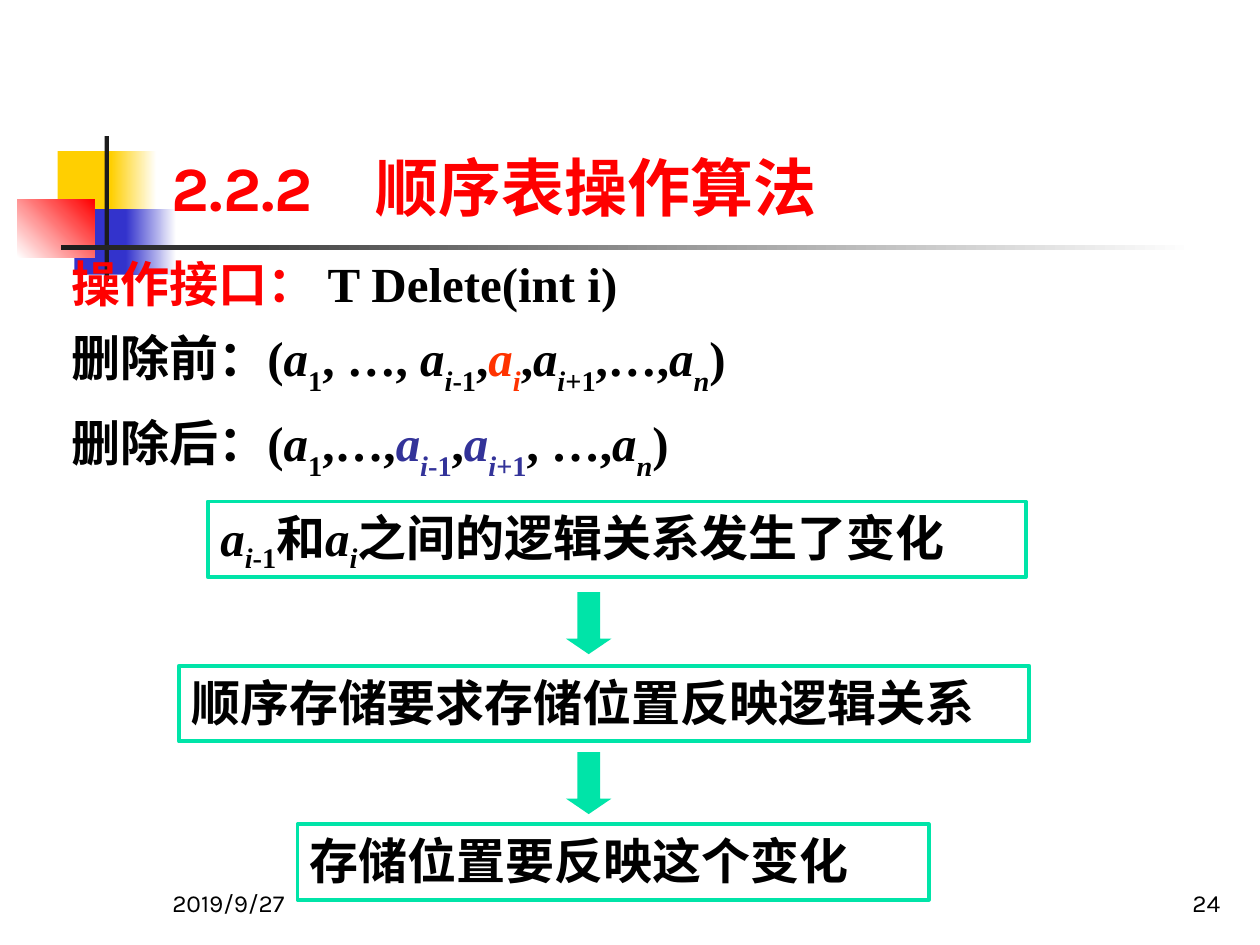
from pptx import Presentation
from pptx.dml.color import RGBColor
from pptx.enum import shapes, text
from pptx.oxml.xmlchemy import OxmlElement
from pptx.util import Pt

THEME = {
    "red": "FF0000", "orange": "FF3300", "yellow": "FFCF01", "blue": "3333CC",
    "indigo": "333399", "green": "00E4A8", "dark": "1C1C1C", "white": "FFFFFF",
    "black": "000000",
    "title_size": 36, "body_size": 28, "footer_size": 14,
    "display": "Karla", "serif": "Times New Roman", "sans": "Arial",
}


def add_runs(paragraph, runs, font, size, bold=True, drop=-30):
    """Each run is plain text, (text, colour), or a term (letter, italic index, upright index, colour)."""
    for run_parts in runs:
        if isinstance(run_parts, str):
            run_parts = (run_parts, "black")
        *words, color = run_parts
        is_term = len(words) == 3
        for position, word in enumerate(words):
            if not word:
                continue
            run = paragraph.add_run()
            run.text = word
            values = {"name": THEME[font], "size": Pt(THEME[size]), "bold": bold,
                      "italic": is_term and position < 2}
            for name, value in values.items():
                setattr(run.font, name, value)
            run.font.color.rgb = RGBColor.from_string(THEME[color])
            if position:
                run.font._element.set("baseline", str(drop * 1000))


def add_filled(kind, bounds, colors, angle=0):
    shape = slide.shapes.add_shape(kind, *map(Pt, bounds))
    shape.shadow.inherit = False
    shape.line.fill.background()
    if len(colors) == 1:
        shape.fill.solid()
        shape.fill.fore_color.rgb = RGBColor.from_string(THEME[colors[0]])
    else:
        shape.fill.gradient()
        shape.fill.gradient_angle = angle
        for stop, color in zip(shape.fill.gradient_stops, colors):
            stop.color.rgb = RGBColor.from_string(THEME[color])
    return shape


presentation = Presentation()
presentation.slide_width, presentation.slide_height = Pt(720), Pt(540)
slide = presentation.slides.add_slide(presentation.slide_layouts[1])
title, body = slide.placeholders
RECTANGLE = shapes.MSO_SHAPE.RECTANGLE

# Corner ornament and rule
for bounds, colors, angle in [
    ((33, 86.4, 34.6, 37.4), ["yellow"], 0),
    ((63.4, 86.4, 26, 37.4), ["yellow", "white"], 0),
    ((42.5, 119.5, 33, 37.4), ["blue"], 0),
    ((72, 119.5, 28.8, 37.4), ["blue", "white"], 0),
    ((10, 113.8, 44, 33.2), ["white", "red"], 45),
    ((59.8, 77.8, 2.4, 82.8), ["dark"], 0),
    ((34.6, 140.2, 648, 2.4), ["dark", "white"], 0),
]:
    add_filled(RECTANGLE, bounds, colors, angle)

# Date and slide number
for left, wording, align in [
    (91.4, "2019/9/27", text.PP_ALIGN.LEFT),
    (554.4, "24", text.PP_ALIGN.RIGHT),
]:
    footer = slide.shapes.add_textbox(Pt(left), Pt(491.8), Pt(150), Pt(36))
    footer.text_frame.word_wrap = True
    footer.text_frame.vertical_anchor = text.MSO_ANCHOR.BOTTOM
    paragraph = footer.text_frame.paragraphs[0]
    paragraph.alignment = align
    add_runs(paragraph, [wording], "display", "footer_size", bold=False)

# Title and body, brought in front of the ornament
for placeholder, bounds, anchor in [
    (title, (90.7, 16.6, 613.4, 115.2), text.MSO_ANCHOR.BOTTOM),
    (body, (33.8, 141.1, 660.2, 141.1), text.MSO_ANCHOR.TOP),
]:
    slide.shapes._spTree.append(placeholder._element)
    for name, value in zip(("left", "top", "width", "height"), bounds):
        setattr(placeholder, name, Pt(value))
    placeholder.text_frame.auto_size = text.MSO_AUTO_SIZE.NONE
    placeholder.text_frame.vertical_anchor = anchor

paragraph = title.text_frame.paragraphs[0]
paragraph.alignment = text.PP_ALIGN.LEFT
add_runs(paragraph, [("2.2.2　顺序表操作算法", "red")], "display", "title_size")

body_lines = [
    [("操作接口： ", "red"), "T Delete(int i)"],
    ["删除前：(", ("a", "", "1", "black"), ", …, ", ("a", "i", "-1", "black"), ",",
     ("a", "i", "", "orange"), ",", ("a", "i", "+1", "black"), ",…,",
     ("a", "n", "", "black"), ")"],
    ["删除后：(", ("a", "", "1", "black"), ",…,", ("a", "i", "-1", "indigo"), ",",
     ("a", "i", "+1", "indigo"), ", …,", ("a", "n", "", "black"), ")"],
]
for index, runs in enumerate(body_lines):
    paragraph = body.text_frame.add_paragraph() if index else body.text_frame.paragraphs[0]
    properties = paragraph._p.get_or_add_pPr()
    properties.set("marL", "0")
    properties.set("indent", "0")
    properties.append(OxmlElement("a:buNone"))
    paragraph.space_before = Pt(9 if index else 0)
    add_runs(paragraph, runs, "serif", "body_size")

# Chain of reasoning
for left, top, width, font, runs in [
    (118.8, 286.6, 467.3, "serif",
     [("a", "i", "-1", "black"), "和", ("a", "i", "", "black"), "之间的逻辑关系发生了变化"]),
    (102.2, 380.5, 486, "serif", ["顺序存储要求存储位置反映逻辑关系"]),
    (170, 471, 360.7, "sans", ["存储位置要反映这个变化"]),
]:
    box = slide.shapes.add_shape(RECTANGLE, Pt(left), Pt(top), Pt(width), Pt(43.2))
    box.shadow.inherit = False
    box.fill.background()
    box.line.color.rgb = RGBColor.from_string(THEME["green"])
    box.line.width = Pt(2.25)
    frame = box.text_frame
    frame.word_wrap = True
    frame.auto_size = text.MSO_AUTO_SIZE.SHAPE_TO_FIT_TEXT
    frame.vertical_anchor = text.MSO_ANCHOR.TOP
    frame.paragraphs[0].alignment = text.PP_ALIGN.LEFT
    add_runs(frame.paragraphs[0], runs, font, "body_size", drop=-25)

for top in (338.4, 429.8):
    arrow = add_filled(shapes.MSO_SHAPE.DOWN_ARROW, (323.4, top, 26, 35.4), ["green"])
    arrow.adjustments[0], arrow.adjustments[1] = 0.5, 0.34

presentation.save("out.pptx")
